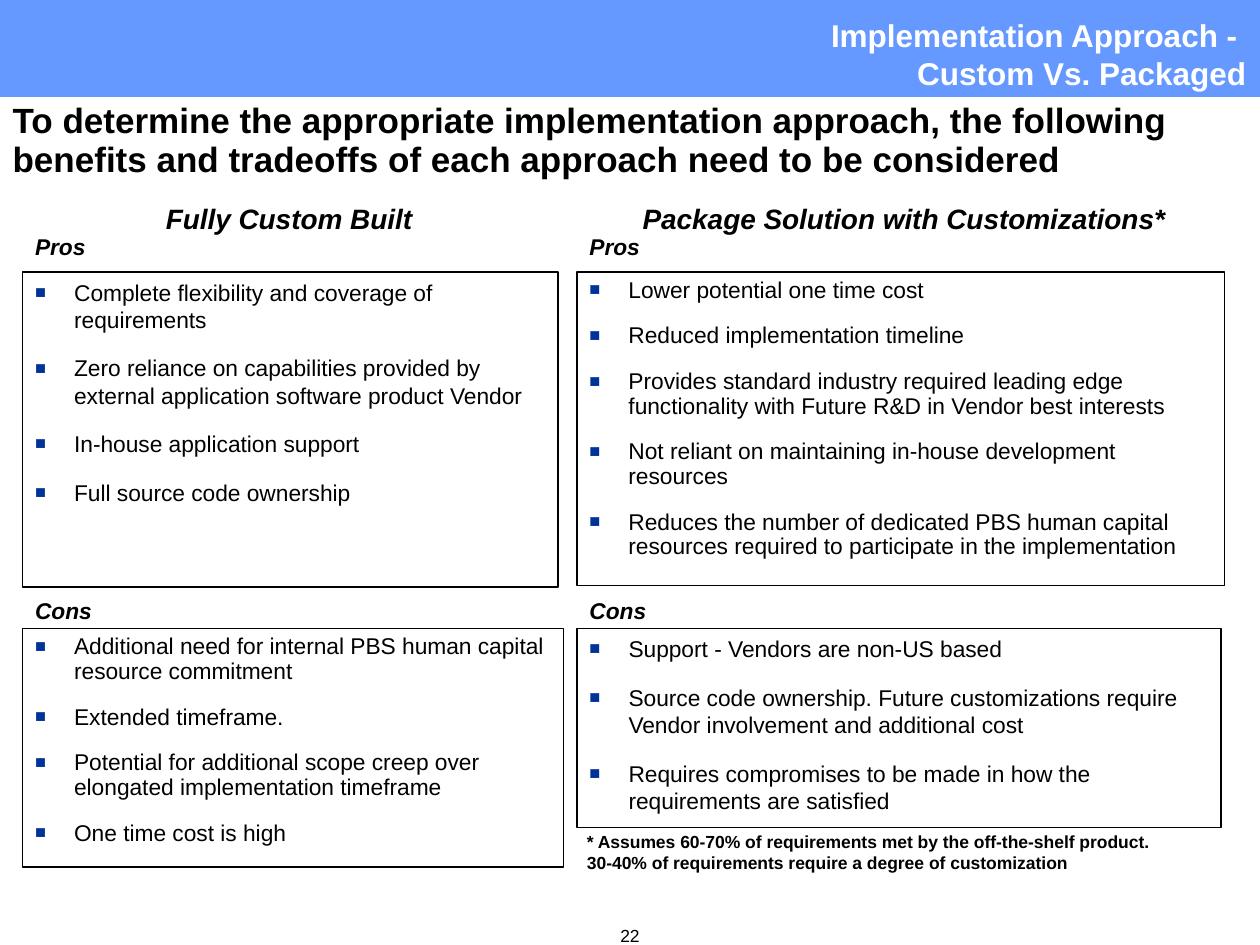
import pptx
import pptx.dml.color
import pptx.enum.shapes
import pptx.enum.text
import pptx.oxml
import pptx.oxml.ns
import pptx.util

Inches = pptx.util.Inches
Pt = pptx.util.Pt
RGBColor = pptx.dml.color.RGBColor
ALIGN = pptx.enum.text.PP_ALIGN

BLACK = RGBColor(0x00, 0x00, 0x00)
WHITE = RGBColor(0xFF, 0xFF, 0xFF)
BANNER_BLUE = RGBColor(0x66, 0x99, 0xFF)
BULLET_BLUE = RGBColor(0x00, 0x33, 0x99)

LEFT_COLUMN, RIGHT_COLUMN = 0.18, 4.58
PROS_TOP, CONS_TOP = 2.16, 4.99

PANELS = [
    (LEFT_COLUMN, PROS_TOP, 4.25, 2.5, 1.0, [
        "Complete flexibility and coverage of requirements",
        "Zero reliance on capabilities provided by external application software product Vendor",
        "In-house application support",
        "Full source code ownership",
    ]),
    (LEFT_COLUMN, CONS_TOP, 4.29, 1.89, 0.9, [
        "Additional need for internal PBS human capital resource commitment",
        "Extended timeframe.",
        "Potential for additional scope creep over elongated implementation timeframe",
        "One time cost is high",
    ]),
    (RIGHT_COLUMN, PROS_TOP, 5.14, 2.49, 0.9, [
        "Lower potential one time cost",
        "Reduced implementation timeline",
        "Provides standard industry required leading edge functionality with Future R&D in Vendor best interests",
        "Not reliant on maintaining in-house development resources",
        "Reduces the number of dedicated PBS human capital resources required to participate in the implementation",
    ]),
    (RIGHT_COLUMN, CONS_TOP, 5.11, 1.58, 1.0, [
        "Support - Vendors are non-US based",
        "Source code ownership. Future customizations require Vendor involvement and additional cost",
        "Requires compromises to be made in how the requirements are satisfied",
    ]),
]


def apply_format(target, values):
    for name, value in values.items():
        setattr(target, name, value)


class SlideBuilder:
    font_name = "Arial"
    body_size = 13
    bullet_indent = 0.31
    bullet_gap = 12.1
    insets = (0.1, 0.05, 0.1, 0.05)

    def __init__(self, slide):
        self.slide = slide

    def prepare_frame(self, shape, insets, wrap=True):
        frame = shape.text_frame
        left, top, right, bottom = map(Inches, insets)
        apply_format(frame, {
            "margin_left": left, "margin_top": top,
            "margin_right": right, "margin_bottom": bottom,
            "word_wrap": wrap,
            "vertical_anchor": pptx.enum.text.MSO_ANCHOR.TOP,
        })
        return frame

    def fill_paragraph(self, paragraph, text, size, color=BLACK, bold=False, italic=False):
        paragraph.text = text
        for run in paragraph.runs:
            apply_format(run.font, {"name": self.font_name, "size": Pt(size),
                                    "bold": bold, "italic": italic})
            run.font.color.rgb = color

    def text_box(self, box, text, size, align=ALIGN.LEFT, spacing=1.0,
                 insets=insets, wrap=True, **style):
        shape = self.slide.shapes.add_textbox(*map(Inches, box))
        paragraph = self.prepare_frame(shape, insets, wrap).paragraphs[0]
        apply_format(paragraph, {"alignment": align, "line_spacing": spacing})
        self.fill_paragraph(paragraph, text, size, **style)

    def rectangle(self, box, fill, outline=None):
        shape = self.slide.shapes.add_shape(
            pptx.enum.shapes.MSO_SHAPE.RECTANGLE, *map(Inches, box))
        shape.shadow.inherit = False
        shape.fill.solid()
        shape.fill.fore_color.rgb = fill
        if outline is None:
            shape.line.fill.background()
        else:
            shape.line.color.rgb = outline
            shape.line.width = Pt(0.75)
        return shape

    def add_bullet(self, paragraph):
        properties = paragraph._p.get_or_add_pPr()
        indent = Inches(self.bullet_indent)
        properties.set("marL", str(indent))
        properties.set("indent", str(-indent))
        namespace = pptx.oxml.ns.nsdecls("a")
        for element in (
            f'<a:buClr {namespace}><a:srgbClr val="{BULLET_BLUE}"/></a:buClr>',
            f'<a:buSzPct {namespace} val="80000"/>',
            f'<a:buFont {namespace} typeface="{self.font_name}"/>',
            f'<a:buChar {namespace} char="■"/>',
        ):
            properties.append(pptx.oxml.parse_xml(element))

    def bullet_panel(self, box, items, spacing):
        frame = self.prepare_frame(self.rectangle(box, WHITE, BLACK), self.insets)
        for index, item in enumerate(items):
            paragraph = frame.add_paragraph() if index else frame.paragraphs[0]
            self.add_bullet(paragraph)
            apply_format(paragraph, {
                "alignment": ALIGN.LEFT,
                "line_spacing": spacing,
                "space_before": Pt(self.bullet_gap if index else 0),
            })
            self.fill_paragraph(paragraph, item, self.body_size)


def main():
    presentation = pptx.Presentation()
    presentation.slide_width = Inches(10)
    presentation.slide_height = Inches(7.5)
    builder = SlideBuilder(presentation.slides.add_slide(presentation.slide_layouts[6]))

    builder.rectangle((0, 0, 10, 0.77), BANNER_BLUE)
    builder.text_box((0.32, 0.08, 9.67, 0.7), "Implementation Approach - \nCustom Vs. Packaged",
                     18, align=ALIGN.RIGHT, color=WHITE, bold=True)
    builder.text_box((0.1, 0.81, 9.78, 0.64),
                     "To determine the appropriate implementation approach, the following "
                     "benefits and tradeoffs of each approach need to be considered",
                     20, spacing=0.93, insets=(0, 0, 0, 0.05), bold=True)

    for left, heading_width, heading in (
        (LEFT_COLUMN, 4.23, "Fully Custom Built"),
        (RIGHT_COLUMN, 5.19, "Package Solution with Customizations*"),
    ):
        builder.text_box((left, 1.55, heading_width, 0.37), heading, 16,
                         align=ALIGN.CENTER, bold=True, italic=True)
        for top, width, label in ((1.8, 0.6, "Pros"), (4.69, 0.65, "Cons")):
            builder.text_box((left, top, width, 0.32), label, builder.body_size,
                             wrap=False, bold=True, italic=True)

    for left, top, width, height, spacing, items in PANELS:
        builder.bullet_panel((left, top, width, height), items, spacing)

    builder.text_box((4.56, 6.55, 4.7, 0.44),
                     "* Assumes 60-70% of requirements met by the off-the-shelf product. "
                     "30-40% of requirements require a degree of customization", 10, bold=True)
    builder.text_box((4.53, 7.29, 0.94, 0.27), "22", 10, align=ALIGN.CENTER)

    presentation.save("out.pptx")


if __name__ == "__main__":
    main()
